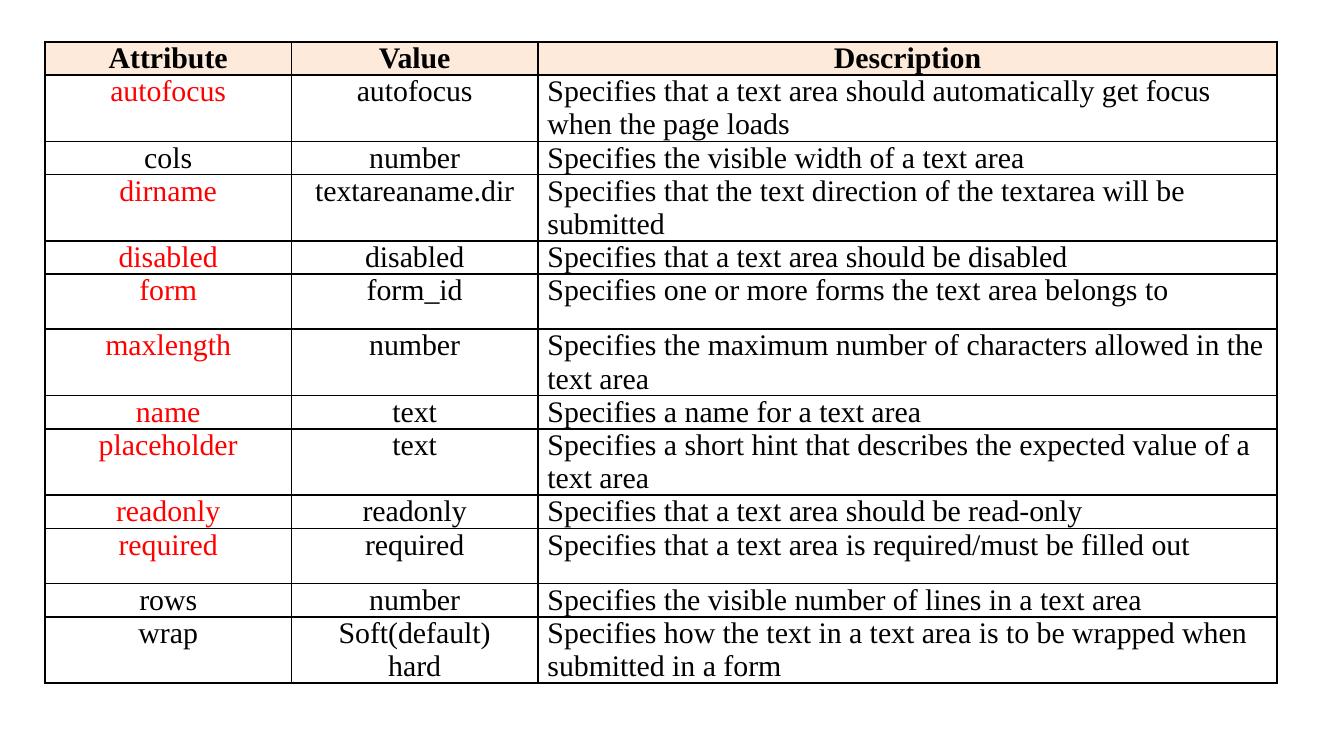
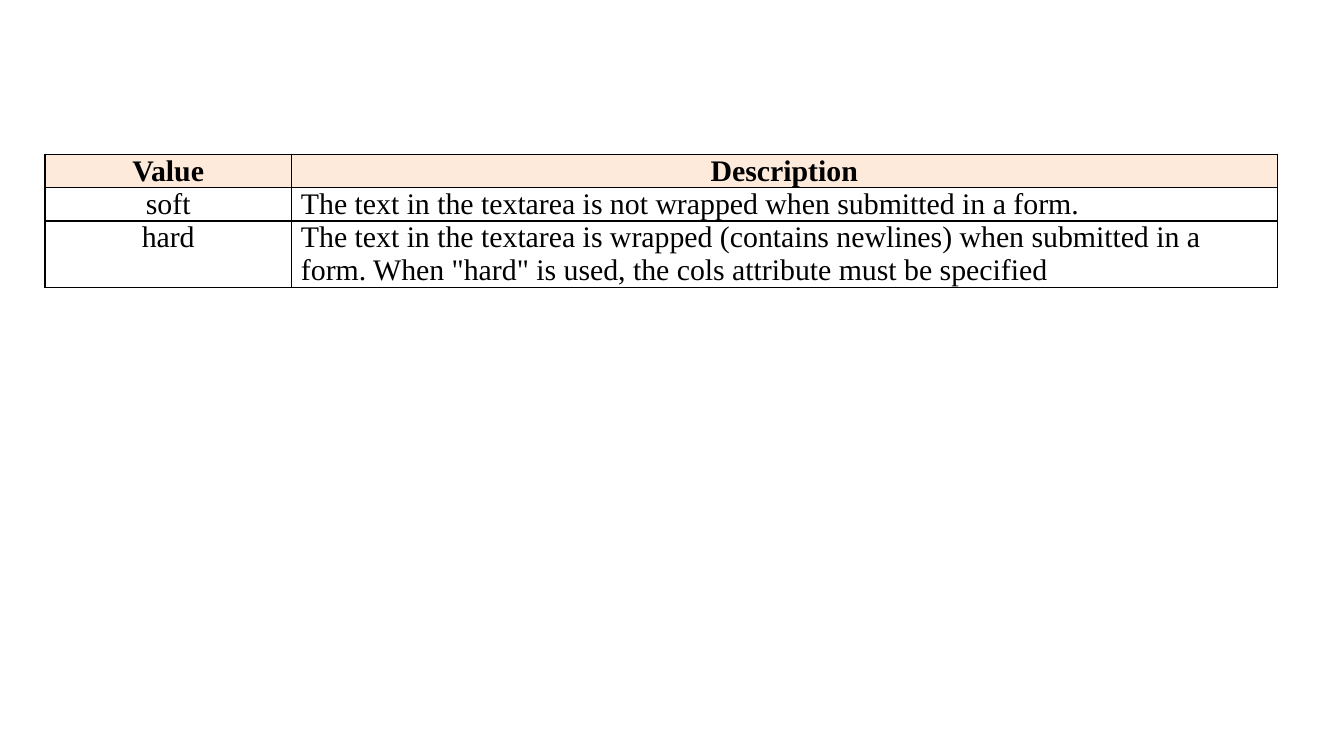
import dataclasses

import lxml.etree
import pptx
import pptx.dml.color
import pptx.enum.text
import pptx.oxml.ns
import pptx.util

Cm = pptx.util.Cm
Align = pptx.enum.text.PP_ALIGN


@dataclasses.dataclass(frozen=True)
class Theme:
    font: str = "Times New Roman"
    size: int = 16
    ink: str = "000000"
    red: str = "FF0000"
    head: str = "FDEADA"
    line: int = 1
    inset: float = 0.18


@dataclasses.dataclass(frozen=True)
class Box:
    left: float
    top: float
    width: float


THEME = Theme()
LOW, HIGH = 0.51, 1.04

TRAITS = [
    (LOW, "Attribute", "Value", "Description"),
    (HIGH, "autofocus", "autofocus",
     "Specifies that a text area should automatically get focus when the page loads"),
    (LOW, "cols", "number", "Specifies the visible width of a text area"),
    (HIGH, "dirname", "textareaname.dir",
     "Specifies that the text direction of the textarea will be submitted"),
    (LOW, "disabled", "disabled", "Specifies that a text area should be disabled"),
    (HIGH, "form", "form_id", "Specifies one or more forms the text area belongs to"),
    (HIGH, "maxlength", "number",
     "Specifies the maximum number of characters allowed in the text area"),
    (LOW, "name", "text", "Specifies a name for a text area"),
    (HIGH, "placeholder", "text",
     "Specifies a short hint that describes the expected value of a text area"),
    (LOW, "readonly", "readonly", "Specifies that a text area should be read-only"),
    (HIGH, "required", "required",
     "Specifies that a text area is required/must be filled out"),
    (LOW, "rows", "number", "Specifies the visible number of lines in a text area"),
    (HIGH, "wrap", "Soft(default)\nhard",
     "Specifies how the text in a text area is to be wrapped when submitted in a form"),
]
REDS = {"autofocus", "dirname", "disabled", "form", "maxlength", "name",
        "placeholder", "readonly", "required"}

WRAPS = [
    (0.3, "Value", "Description"),
    (0.46, "soft", "The text in the textarea is not wrapped when submitted in a form."),
    (0.71, "hard",
     "The text in the textarea is wrapped (contains newlines) when submitted in a form. "
     "When \"hard\" is used, the cols attribute must be specified"),
]


def tint(code):
    return pptx.dml.color.RGBColor.from_string(code)


def frame(cell):
    name = pptx.oxml.ns.qn
    props = cell._tc.get_or_add_tcPr()
    for side in "LRTB":
        edge = lxml.etree.SubElement(props, name(f"a:ln{side}"),
                                     w=str(pptx.util.Pt(THEME.line)))
        fill = lxml.etree.SubElement(edge, name("a:solidFill"))
        lxml.etree.SubElement(fill, name("a:srgbClr"), val=THEME.ink)


def write(cell, text, color, bold, align):
    cell.margin_left = cell.margin_right = Cm(THEME.inset)
    cell.margin_top = cell.margin_bottom = 0
    para = cell.text_frame.paragraphs[0]
    para.alignment = align
    for count, line in enumerate(text.split("\n")):
        if count:
            para.add_line_break()
        run = para.add_run()
        run.text = line
        run.font.name = THEME.font
        run.font.size = pptx.util.Pt(THEME.size)
        run.font.bold = bold
        run.font.color.rgb = tint(color)


def grid(slide, box, shares, rows, reds=()):
    tall = sum(row[0] for row in rows)
    table = slide.shapes.add_table(len(rows), len(shares), Cm(box.left), Cm(box.top),
                                   Cm(box.width), Cm(tall)).table
    table.first_row = table.horz_banding = False
    for col, share in zip(table.columns, shares):
        col.width = Cm(box.width * share)
    for y, (height, *texts) in enumerate(rows):
        table.rows[y].height = Cm(height)
        for x, text in enumerate(texts):
            cell = table.cell(y, x)
            head = y == 0
            last = x == len(texts) - 1
            color = THEME.red if x == 0 and text in reds else THEME.ink
            align = Align.LEFT if last and not head else Align.CENTER
            write(cell, text, color, head, align)
            frame(cell)
            if head:
                cell.fill.solid()
                cell.fill.fore_color.rgb = tint(THEME.head)
            else:
                cell.fill.background()


def main():
    deck = pptx.Presentation()
    deck.slide_width, deck.slide_height = Cm(25.4), Cm(14.29)
    blank = deck.slide_layouts[6]
    grid(deck.slides.add_slide(blank), Box(0.85, 0.79, 23.29), (0.2, 0.2, 0.6),
         TRAITS, REDS)
    grid(deck.slides.add_slide(blank), Box(0.85, 2.92, 23.29), (0.2, 0.8), WRAPS)
    deck.save("out.pptx")


if __name__ == "__main__":
    main()
